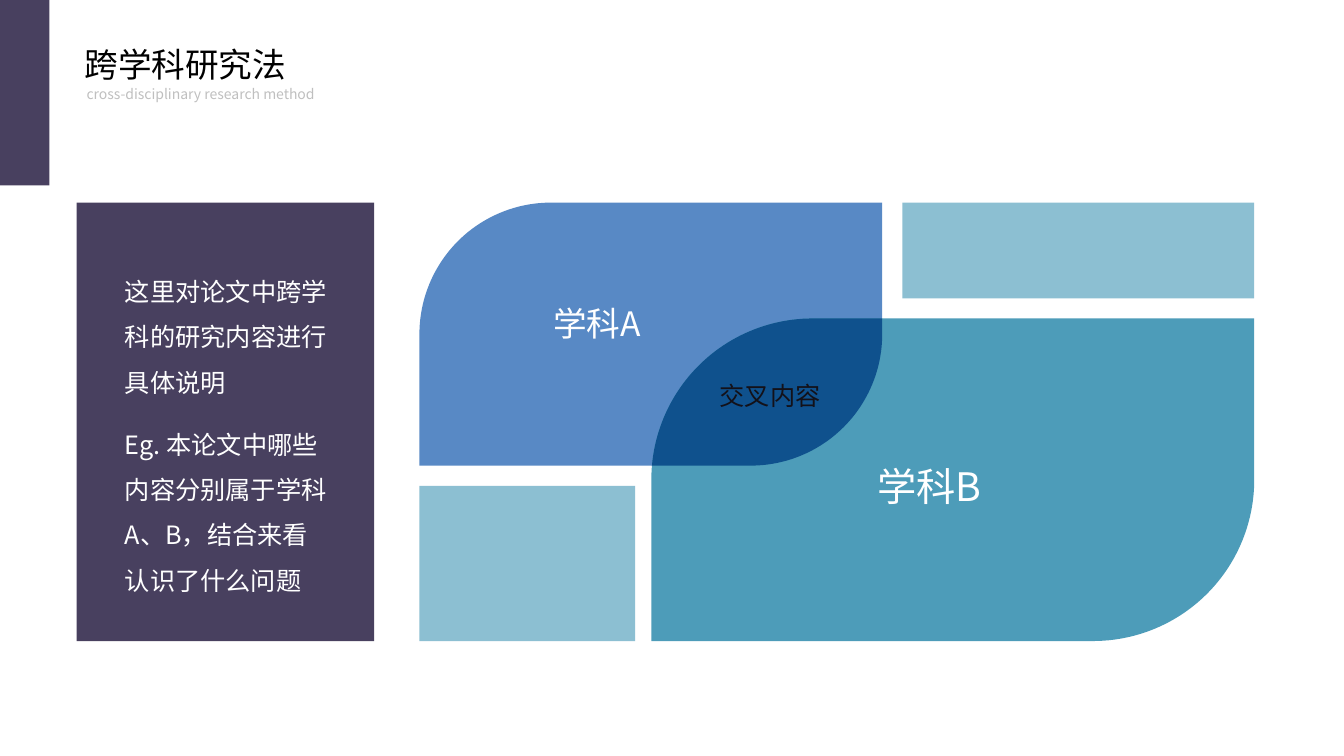
import math

from pptx import Presentation
from pptx.dml.color import RGBColor
from pptx.enum.shapes import MSO_SHAPE
from pptx.enum.text import MSO_ANCHOR, MSO_AUTO_SIZE, PP_ALIGN
from pptx.oxml.ns import qn
from pptx.util import Inches, Pt

RECT = MSO_SHAPE.RECTANGLE
LEAF = MSO_SHAPE.ROUND_2_DIAG_RECTANGLE
LEFT, JUSTIFY = PP_ALIGN.LEFT, PP_ALIGN.JUSTIFY
TOP, BOTTOM = MSO_ANCHOR.TOP, MSO_ANCHOR.BOTTOM
GROW, FIXED = MSO_AUTO_SIZE.SHAPE_TO_FIT_TEXT, MSO_AUTO_SIZE.NONE

FONT = "Noto Sans CJK SC"
WHITE = RGBColor(0xFF, 0xFF, 0xFF)
BLACK = RGBColor(0x00, 0x00, 0x00)
GRAY = RGBColor(0xBF, 0xBF, 0xBF)
INK = RGBColor(0x13, 0x11, 0x19)
PLUM = RGBColor(0x48, 0x40, 0x5F)
BLUE = RGBColor(0x58, 0x89, 0xC5)
TEAL = RGBColor(0x4D, 0x9C, 0xB9)
NAVY = RGBColor(0x0F, 0x51, 0x8D)
PALE = RGBColor(0x8C, 0xBF, 0xD2)


def paint(sp, color):
    """Give a shape a plain fill without line or shadow."""
    sp.shadow.inherit = False
    sp.fill.solid()
    sp.fill.fore_color.rgb = color
    sp.line.fill.background()


def add_block(s, box, color, kind=RECT):
    """Add a filled preset shape in the given box."""
    sp = s.shapes.add_shape(kind, *map(Inches, box))
    paint(sp, color)
    return sp


def add_text(s, box, lines, size, color, align=JUSTIFY, spacing=None, anchor=TOP):
    """Add a text box with one paragraph per line and return its paragraphs."""
    tf = s.shapes.add_textbox(*map(Inches, box)).text_frame
    tf.word_wrap = True
    tf.auto_size = GROW if anchor == TOP else FIXED
    tf.vertical_anchor = anchor
    tf.text = "\n".join(lines)
    for p in tf.paragraphs:
        p.alignment = align
        p.line_spacing = spacing
        for r in p.runs:
            r.font.name = FONT
            r.font.size = Pt(size)
            r.font.color.rgb = color
            ea = r.font._element.makeelement(qn("a:ea"), {"typeface": FONT})
            r.font._element.append(ea)
    return tf.paragraphs


def add_header(s, x, y):
    """Place the corner mark, the title and its English subtitle."""
    add_block(s, (0, 0, 0.49, 1.84), PLUM)
    add_text(s, (x, y + 0.25, 2.95, 0.27), ["cross-disciplinary research method"], 10, GRAY)
    add_text(s, (x - 0.02, y, 2.68, 0.34), ["跨学科研究法"], 24, BLACK,
             spacing=0.9, anchor=BOTTOM)


def add_explanation(s, x, y, w, h):
    """Place the dark panel that explains the method."""
    add_block(s, (x, y, w, h), PLUM)
    lines = ["这里对论文中跨学科的研究内容进行具体说明",
             "Eg. 本论文中哪些内容分别属于学科A、B，结合来看认识了什么问题"]
    first, second = add_text(s, (x + 0.38, y + 0.53, 2.2, 3.45), lines, 18, WHITE, spacing=1.5)
    second.alignment = LEFT
    second.space_before = Pt(12)


def arc(cx, cy, radius, start, end, steps=48):
    """List the points of a circular arc between two angles."""
    angles = [start + (end - start) * i / steps for i in range(steps + 1)]
    return [(cx + radius * math.cos(a), cy - radius * math.sin(a)) for a in angles]


def add_overlap(s, left, top, right, bottom, r_a, r_b):
    """Draw the common area of the two leaves with corner radii r_a and r_b."""
    start = math.pi - math.asin((top + r_b - bottom) / r_b)
    points = arc(left + r_b, top + r_b, r_b, start, math.pi / 2)
    points += [(right, top)]
    points += arc(right - r_a, bottom - r_a, r_a, 0, -math.pi / 2)
    points = [(Inches(px), Inches(py)) for px, py in points]
    fb = s.shapes.build_freeform(*points[0])
    fb.add_line_segments(points[1:], close=True)
    paint(fb.convert_to_shape(), NAVY)


def add_disciplines(s, x, y, w, h):
    """Place two overlapping leaves, the corner blocks and the labels."""
    right, bottom = x + w, y + h
    a_w, a_h, b_w, b_h = 4.59, 2.61, 5.98, 3.2
    b_x, b_y = right - b_w, bottom - b_h
    for box, color in (((x, y, a_w, a_h), BLUE), ((b_x, b_y, b_w, b_h), TEAL)):
        add_block(s, box, color, LEAF).adjustments[0] = 0.5
    add_overlap(s, b_x, b_y, x + a_w, y + a_h, a_h / 2, b_h / 2)
    gap = 0.2
    top_x, low_y = x + a_w + gap, y + a_h + gap
    add_block(s, (top_x, y, right - top_x, b_y - gap - y), PALE)
    add_block(s, (x, low_y, b_x - 0.16 - x, bottom - low_y), PALE)
    add_text(s, (x + 1.23, y + 0.95, 1.39, 0.5), ["学科A"], 24, WHITE)
    add_text(s, (b_x + 2.14, b_y + 1.38, 1.69, 0.57), ["学科B"], 28, WHITE)
    add_text(s, (b_x + 0.58, b_y + 0.56, 1.24, 0.4), ["交叉内容"], 18, INK, LEFT)


def main():
    """Build the slide and save it."""
    prs = Presentation()
    prs.slide_width, prs.slide_height = Inches(13.33), Inches(7.5)
    s = prs.slides.add_slide(prs.slide_layouts[6])
    add_header(s, 0.76, 0.55)
    add_explanation(s, 0.76, 2.01, 2.95, 4.35)
    add_disciplines(s, 4.16, 2.01, 8.28, 4.35)
    prs.save("out.pptx")


if __name__ == "__main__":
    main()
